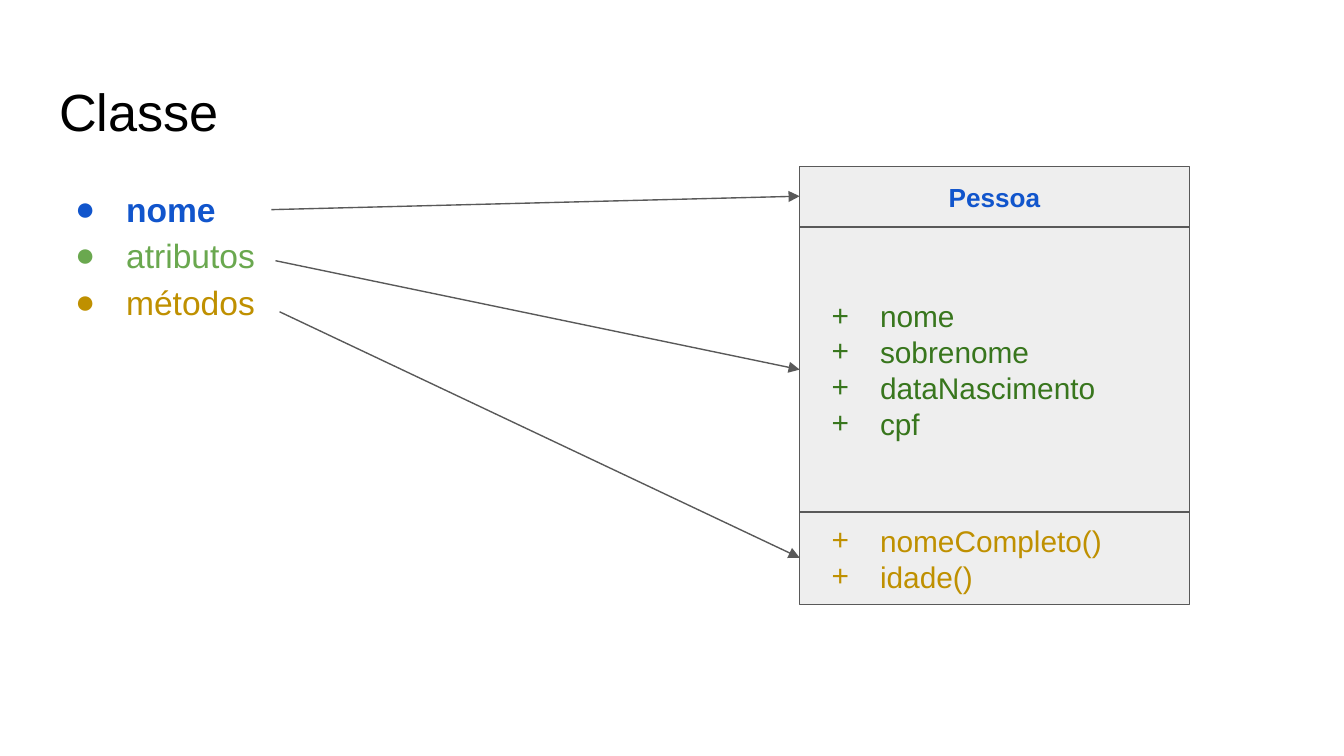
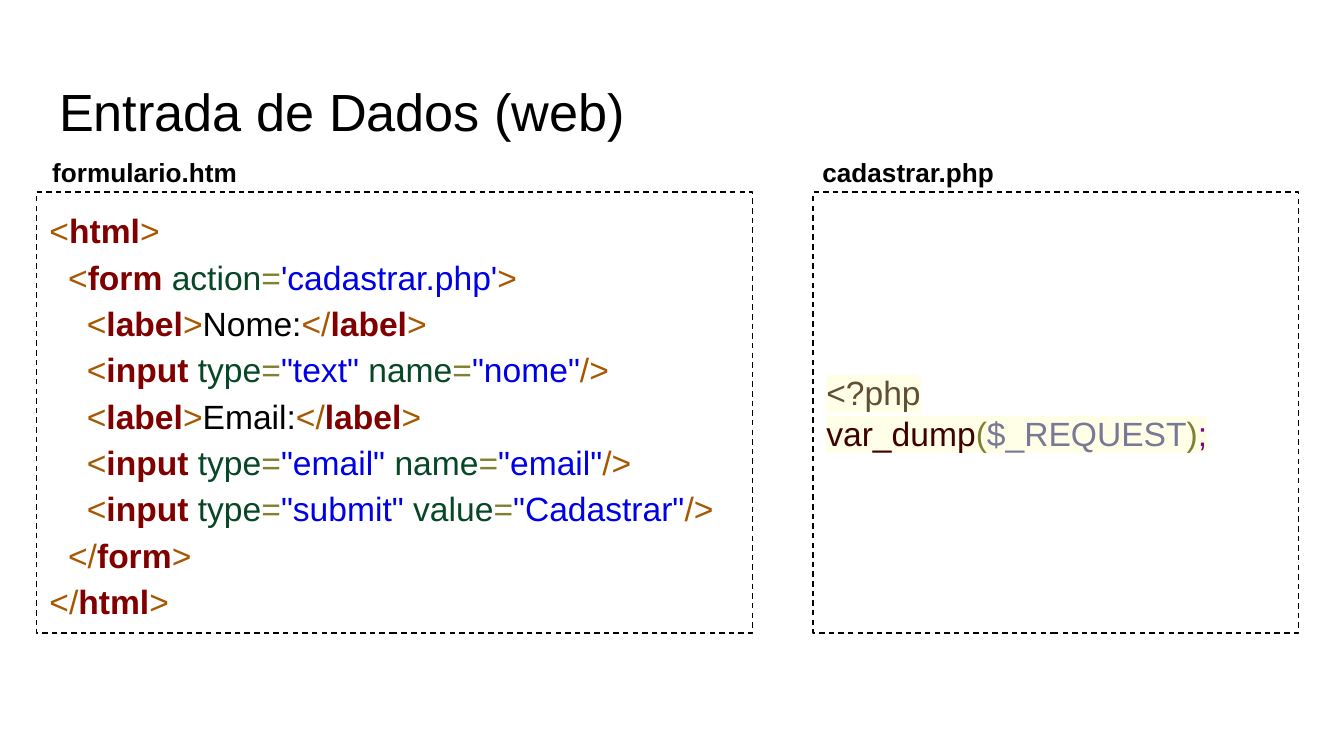
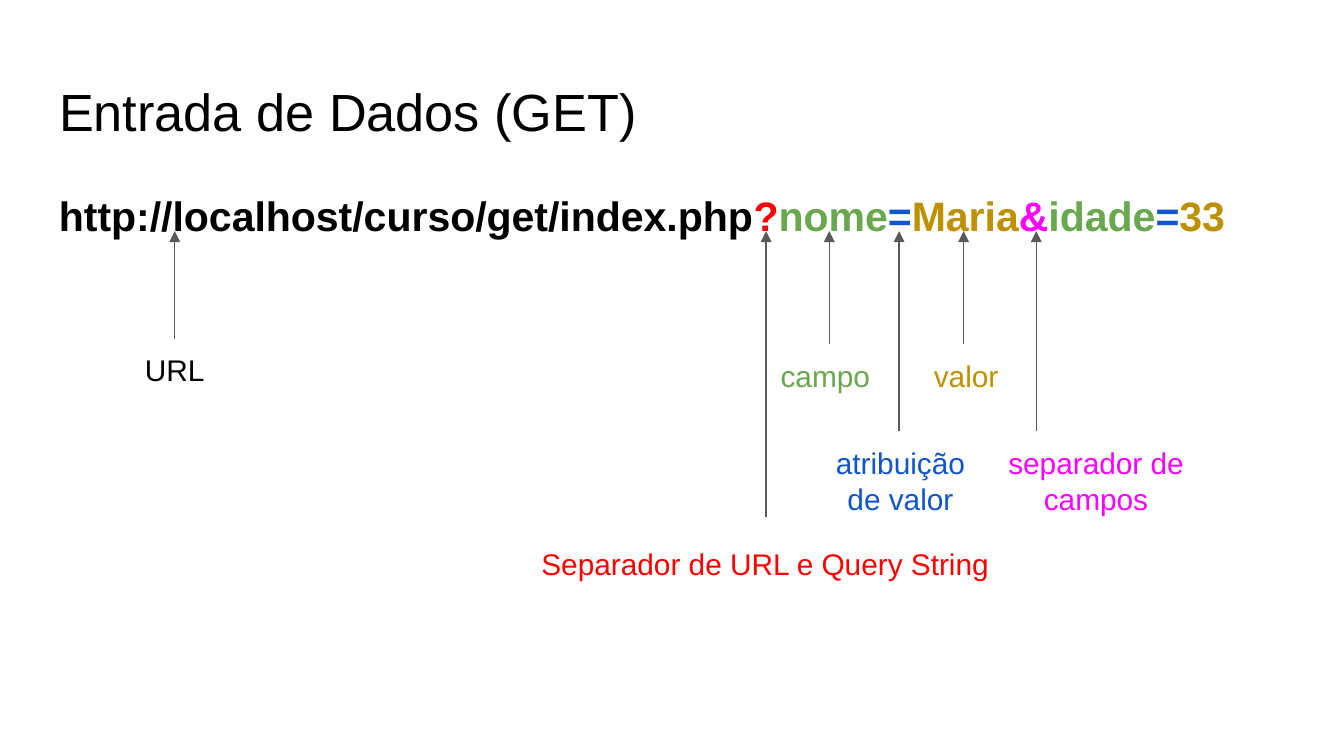
from typing import NamedTuple

from lxml.etree import SubElement
from pptx import Presentation
from pptx.dml.color import RGBColor
from pptx.enum.dml import MSO_LINE
from pptx.enum.shapes import MSO_CONNECTOR, MSO_SHAPE
from pptx.enum.text import MSO_ANCHOR, MSO_AUTO_SIZE, PP_ALIGN
from pptx.oxml.ns import qn
from pptx.util import Inches, Pt

FONT = "Arial"
BLACK = RGBColor(0x00, 0x00, 0x00)
GRAY = RGBColor(0x59, 0x59, 0x59)
LIGHT_GRAY = RGBColor(0xEE, 0xEE, 0xEE)
BLUE = RGBColor(0x11, 0x55, 0xCC)
GREEN = RGBColor(0x6A, 0xA8, 0x4F)
DARK_GREEN = RGBColor(0x38, 0x76, 0x1D)
GOLD = RGBColor(0xBF, 0x90, 0x00)
RED = RGBColor(0xFF, 0x00, 0x00)
MAGENTA = RGBColor(0xFF, 0x00, 0xFF)

CODE_BRACKET = RGBColor(0xA6, 0x57, 0x00)
CODE_TAG = RGBColor(0x80, 0x00, 0x00)
CODE_ATTRIBUTE = RGBColor(0x07, 0x47, 0x26)
CODE_OPERATOR = RGBColor(0x80, 0x80, 0x30)
CODE_STRING = RGBColor(0x00, 0x00, 0xE6)
PHP_OPEN = RGBColor(0x5F, 0x50, 0x35)
PHP_FUNCTION = RGBColor(0x40, 0x00, 0x00)
PHP_VARIABLE = RGBColor(0x79, 0x79, 0x97)
PHP_END = RGBColor(0x80, 0x00, 0x80)
PHP_HIGHLIGHT = RGBColor(0xFF, 0xFF, 0xE8)

PAGE_WIDTH = 10
PAGE_HEIGHT = PAGE_WIDTH * 9 / 16
MARGIN = 0.34
CONTENT_WIDTH = 9.32


class Span(NamedTuple):
    text: str
    color: RGBColor
    bold: bool = False


LINE_BREAK = Span("\n", BLACK)


class Box(NamedTuple):
    left: float
    top: float
    width: float
    height: float

    def lengths(self):
        return [Inches(value) for value in self]


def add_bullet(para, symbol, color, hanging):
    properties = para._p.get_or_add_pPr()
    properties.set("marL", str(Inches(0.5)))
    properties.set("indent", str(-Inches(hanging)))
    bullet_color = SubElement(properties, qn("a:buClr"))
    SubElement(bullet_color, qn("a:srgbClr")).set("val", str(color))
    SubElement(properties, qn("a:buFont")).set("typeface", FONT)
    SubElement(properties, qn("a:buChar")).set("char", symbol)


def add_highlight(run, color):
    highlight = SubElement(run.font._element, qn("a:highlight"))
    SubElement(highlight, qn("a:srgbClr")).set("val", str(color))
    run.font._element.find(qn("a:latin")).addprevious(highlight)


def add_span(para, span, size, highlight):
    if span is LINE_BREAK:
        para.add_line_break()
        return
    run = para.add_run()
    run.text = span.text
    run.font.name = FONT
    run.font.size = Pt(size)
    run.font.bold = span.bold
    run.font.color.rgb = span.color
    if highlight:
        add_highlight(run, highlight)


def fill_text(frame, paragraphs, size, anchor=MSO_ANCHOR.TOP, align=PP_ALIGN.LEFT,
              spacing=None, bullet=None, hanging=0.36, highlight=None):
    frame.word_wrap = True
    frame.auto_size = MSO_AUTO_SIZE.NONE
    frame.vertical_anchor = anchor
    frame.margin_left = frame.margin_right = Inches(0.1)
    frame.margin_top = frame.margin_bottom = Inches(0.1)
    for number, spans in enumerate(paragraphs):
        para = frame.add_paragraph() if number else frame.paragraphs[0]
        para.alignment = align
        if spacing:
            para.line_spacing = spacing
        if bullet:
            add_bullet(para, bullet, spans[0].color, hanging)
        for span in spans:
            add_span(para, span, size, highlight)


def add_text(page, box, paragraphs, size, **options):
    frame = page.shapes.add_textbox(*box.lengths()).text_frame
    fill_text(frame, paragraphs, size, **options)


def add_panel(shapes, box, line_color, fill=None, dashed=False):
    panel = shapes.add_shape(MSO_SHAPE.RECTANGLE, *box.lengths())
    panel.shadow.inherit = False
    if fill is None:
        panel.fill.background()
    else:
        panel.fill.solid()
        panel.fill.fore_color.rgb = fill
    panel.line.color.rgb = line_color
    panel.line.width = Pt(0.75)
    if dashed:
        panel.line.dash_style = MSO_LINE.DASH
    return panel.text_frame


def add_arrow(page, start, end):
    ends = [Inches(value) for value in (*start, *end)]
    arrow = page.shapes.add_connector(MSO_CONNECTOR.STRAIGHT, *ends)
    arrow.line.color.rgb = GRAY
    arrow.line.width = Pt(0.75)
    SubElement(arrow.line._get_or_add_ln(), qn("a:tailEnd")).set("type", "triangle")
    SubElement(arrow._element.spPr, qn("a:effectLst"))


def add_page(deck, title):
    page = deck.slides.add_slide(deck.slide_layouts[5])
    holder = page.shapes.title
    box = Box(MARGIN, 0.49, CONTENT_WIDTH, 0.63)
    holder.left, holder.top, holder.width, holder.height = box.lengths()
    fill_text(holder.text_frame, [[Span(title, BLACK)]], 28)
    return page


def add_class_diagram(page, box):
    sections = [
        (0.45, ["Pessoa"], BLUE, True),
        (2.12, ["nome", "sobrenome", "dataNascimento", "cpf"], DARK_GREEN, False),
        (0.69, ["nomeCompleto()", "idade()"], GOLD, False),
    ]
    group = page.shapes.add_group_shape()
    top = box.top
    for height, names, color, heading in sections:
        frame = add_panel(group.shapes, Box(box.left, top, box.width, height), GRAY, LIGHT_GRAY)
        fill_text(frame, [[Span(name, color, heading)] for name in names],
                  14 if heading else 16, anchor=MSO_ANCHOR.MIDDLE,
                  align=PP_ALIGN.CENTER if heading else PP_ALIGN.LEFT,
                  bullet=None if heading else "+")
        top += height


def class_page(deck):
    page = add_page(deck, "Classe")
    parts = [[Span("nome", BLUE, True)], [Span("atributos", GREEN)], [Span("métodos", GOLD)]]
    add_text(page, Box(MARGIN, 1.26, 1.89, 1.31), parts, 18,
             spacing=1.15, bullet="●", hanging=0.38)
    diagram = Box(5.95, 1.24, 2.9, 3.26)
    add_class_diagram(page, diagram)
    for start, target in [((2.02, 1.56), 1.46), ((2.05, 1.94), 2.75), ((2.08, 2.32), 4.15)]:
        add_arrow(page, start, (diagram.left, target))


def tag(name, *attributes, start="<", end=">"):
    spans = [Span(start, CODE_BRACKET), Span(name, CODE_TAG, True)]
    for attribute, value in attributes:
        spans += [Span(" ", CODE_ATTRIBUTE), Span(attribute, CODE_ATTRIBUTE),
                  Span("=", CODE_OPERATOR), Span(value, CODE_STRING)]
    return spans + [Span(end, CODE_BRACKET)]


def closing(name):
    return tag(name, start="</")


def label(text):
    return tag("label") + [Span(text, BLACK)] + closing("label")


def field(kind, attribute, value):
    return tag("input", ("type", f'"{kind}"'), (attribute, f'"{value}"'), end="/>")


def code_paragraph(*lines):
    spans = []
    for depth, line in lines:
        if spans:
            spans.append(LINE_BREAK)
        if depth:
            spans.append(Span("  " * depth, BLACK))
        spans += line
    return spans


def add_code_panel(page, box, file_name, name_offset, paragraphs, **options):
    add_text(page, Box(box.left + name_offset, box.top - 0.37, 1.78, 0.38),
             [[Span(file_name, BLACK, True)]], 14)
    frame = add_panel(page.shapes, box, BLACK, dashed=True)
    fill_text(frame, paragraphs, 18, anchor=MSO_ANCHOR.MIDDLE, **options)


def form_page(deck):
    page = add_page(deck, "Entrada de Dados (web)")
    form = [
        code_paragraph(
            (0, tag("html")),
            (1, tag("form", ("action", "'cadastrar.php'"))),
            (2, label("Nome:")),
        ),
        code_paragraph(
            (2, field("text", "name", "nome")),
            (2, label("Email:")),
            (2, field("email", "name", "email")),
            (2, field("submit", "value", "Cadastrar")),
        ),
        code_paragraph((1, closing("form")), (0, closing("html"))),
    ]
    dump_call = [
        Span("var_dump", PHP_FUNCTION), Span("(", CODE_OPERATOR),
        Span("$_REQUEST", PHP_VARIABLE), Span(")", CODE_OPERATOR), Span(";", PHP_END),
    ]
    script = [code_paragraph((0, [Span("<?php", PHP_OPEN)]), (0, dump_call))]
    add_code_panel(page, Box(0.27, 1.43, 5.33, 3.28), "formulario.htm", 0.02,
                   form, spacing=1.15)
    add_code_panel(page, Box(6.05, 1.43, 3.61, 3.28), "cadastrar.php", -0.03,
                   script, highlight=PHP_HIGHLIGHT)


def add_callout(page, text, color, box, arrow_x, gap=0, align=PP_ALIGN.LEFT):
    add_text(page, box, [[Span(text, color)]], 16, align=align)
    add_arrow(page, (arrow_x, box.top - gap), (arrow_x, 1.72))


def query_page(deck):
    page = add_page(deck, "Entrada de Dados (GET)")
    address = [
        ("http://localhost/curso/get/index.php", BLACK), ("?", RED),
        ("nome", GREEN), ("=", BLUE), ("Maria", GOLD), ("&", MAGENTA),
        ("idade", GREEN), ("=", BLUE), ("33", GOLD),
    ]
    add_text(page, Box(MARGIN, 1.26, CONTENT_WIDTH, 0.63),
             [[Span(text, color, True) for text, color in address]], 22, spacing=1.15)
    add_callout(page, "URL", BLACK, Box(0.98, 2.52, 0.68, 0.65), 1.3)
    add_callout(page, "campo", GREEN, Box(5.71, 2.56, 0.92, 0.65), 6.17)
    add_callout(page, "valor", GOLD, Box(6.85, 2.56, 0.71, 0.65), 7.17)
    add_callout(page, "atribuição de valor", BLUE, Box(6.07, 3.21, 1.26, 0.65), 6.69,
                align=PP_ALIGN.CENTER)
    add_callout(page, "separador de campos", MAGENTA, Box(7.27, 3.21, 1.77, 0.65), 7.71,
                align=PP_ALIGN.CENTER)
    add_callout(page, "Separador de URL e Query String", RED,
                Box(3.93, 3.96, 3.72, 0.65), 5.7, gap=0.11)


def main():
    deck = Presentation()
    deck.slide_width = Inches(PAGE_WIDTH)
    deck.slide_height = Inches(PAGE_HEIGHT)
    class_page(deck)
    form_page(deck)
    query_page(deck)
    deck.save("out.pptx")


if __name__ == "__main__":
    main()
